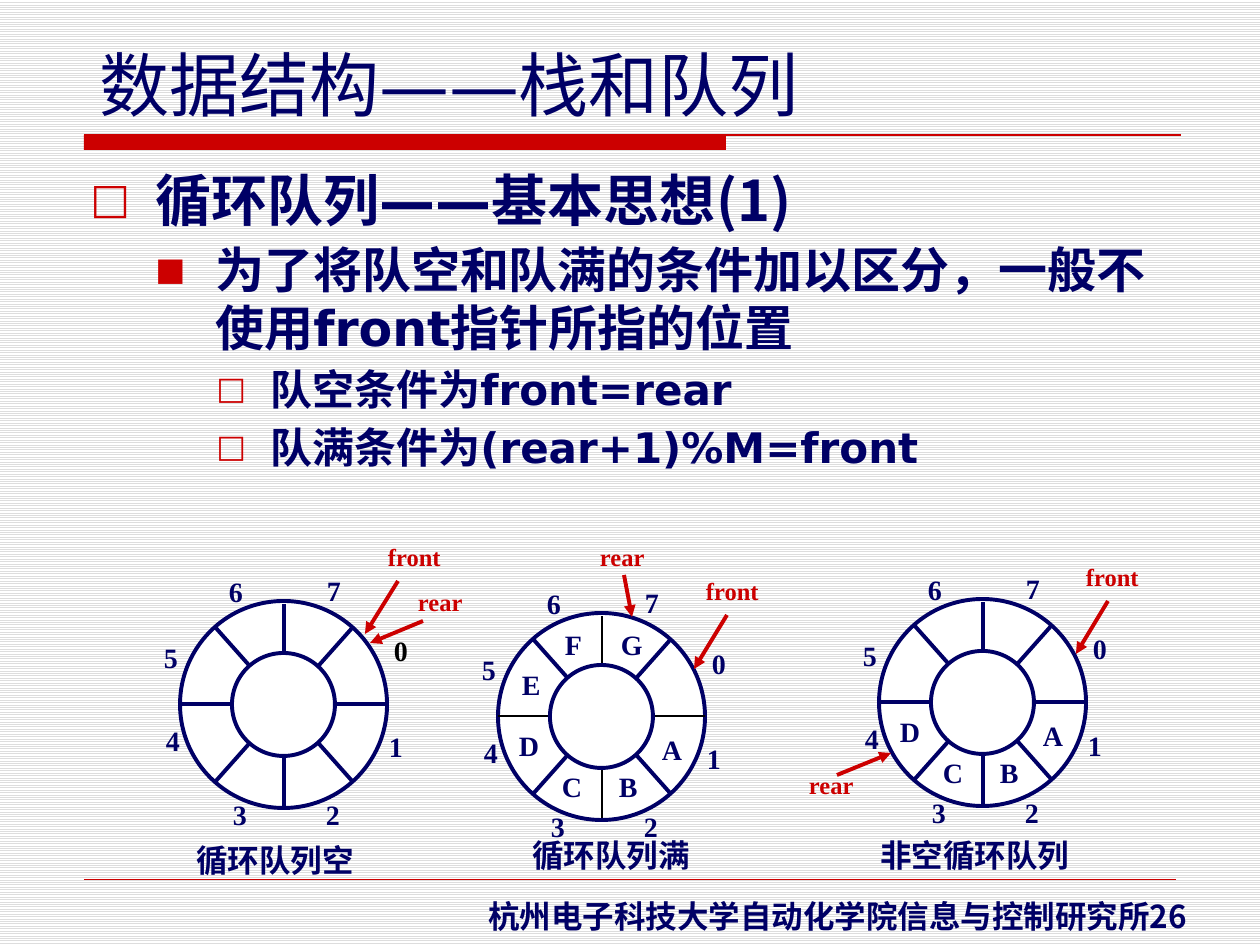
from dataclasses import dataclass

from lxml.etree import SubElement
from pptx import Presentation
from pptx.dml.color import RGBColor
from pptx.enum.dml import MSO_PATTERN
from pptx.enum.shapes import MSO_CONNECTOR, MSO_SHAPE
from pptx.oxml.ns import qn
from pptx.util import Emu, Pt


@dataclass(frozen=True)
class Theme:
    navy: str = "000066"
    red: str = "CC0000"
    black: str = "000000"
    white: str = "FFFFFF"
    stripe: str = "DDDDDD"
    sans: str = "DejaVu Sans"
    arial: str = "Arial"
    cjk: str = "Noto Sans CJK SC"
    serif: str = "Times New Roman"
    title: int = 40
    levels: tuple = (32, 28, 24)
    caption: int = 18
    label: int = 16
    pointer: int = 14


T = Theme()
RING = 207
HUB = 103
NUMBERS = [(214, 33), (209, 129), (146, 197), (53, 197),
           (-14, 123), (-16, 40), (49, -26), (147, -27)]
LETTERS = {"A": (164, 120), "B": (121, 157), "C": (64, 157), "D": (21, 116),
           "E": (24, 55), "F": (67, 14), "G": (123, 14)}
AXES = [(104, 3, 104, 205), (0, 103, RING, 103)]
DIAGONALS = [(35, 26, 173, 181), (173, 26, 35, 181)]
BULLETS = [("□", 65, -65, 75), ("■", 125, -60, 65), ("□", 180, -54, 75)]


def px(n):
    return Emu(round(n * 914400 / 126))


def rgb(value):
    return RGBColor.from_string(value)


def add_run(p, text, size, font=T.sans, color=T.navy, bold=True):
    r = p.add_run()
    r.text = text
    r.font.size = Pt(size)
    r.font.name = font
    r.font.bold = bold
    r.font.color.rgb = rgb(color)
    SubElement(r.font._element, qn("a:ea")).set("typeface", T.sans)


def add_text(s, x, y, w, h, runs, inset=True, wrap=False, **fmt):
    tf = s.shapes.add_textbox(px(x), px(y), px(w), px(h)).text_frame
    tf.word_wrap = wrap
    if not inset:
        tf.margin_left = tf.margin_right = tf.margin_top = tf.margin_bottom = 0
    for text, font in runs:
        add_run(tf.paragraphs[0], text, font=font, **fmt)
    return tf


def add_label(s, x, y, w, text, size=T.label, color=T.navy):
    add_text(s, x, y, w, 34 if size == T.label else 29, [(text, T.serif)],
             inset=False, size=size, color=color)


def add_line(s, x1, y1, x2, y2, color=T.navy, width=2.25, arrow=False):
    c = s.shapes.add_connector(MSO_CONNECTOR.STRAIGHT, px(x1), px(y1), px(x2), px(y2))
    c.line.color.rgb = rgb(color)
    c.line.width = Pt(width)
    if arrow:
        SubElement(c.line._get_or_add_ln(), qn("a:tailEnd")).set("type", "triangle")
    SubElement(c._element.spPr, qn("a:effectLst"))


def add_filled(s, kind, x, y, w, h, fill, line=None):
    sp = s.shapes.add_shape(kind, px(x), px(y), px(w), px(h))
    sp.shadow.inherit = False
    sp.fill.solid()
    sp.fill.fore_color.rgb = rgb(fill)
    if line:
        sp.line.color.rgb = rgb(line)
        sp.line.width = Pt(2.25)
    else:
        sp.line.fill.background()


def add_bullet(p, level):
    char, margin, indent, percent = BULLETS[level]
    pPr = p._p.get_or_add_pPr()
    pPr.set("marL", str(px(margin)))
    pPr.set("indent", str(px(indent)))
    color = SubElement(pPr, qn("a:buClr"))
    SubElement(color, qn("a:srgbClr")).set("val", T.red)
    SubElement(pPr, qn("a:buSzPct")).set("val", str(percent * 1000))
    SubElement(pPr, qn("a:buFont")).set("typeface", T.sans)
    SubElement(pPr, qn("a:buChar")).set("char", char)


def add_outline(s, items):
    tf = s.shapes.add_textbox(px(78), px(161), px(1103), px(330)).text_frame
    tf.word_wrap = True
    for i, (level, text) in enumerate(items):
        p = tf.add_paragraph() if i else tf.paragraphs[0]
        p.level = level
        p.line_spacing = Pt(round(T.levels[level] * 1.17, 1))
        if i:
            p.space_before = Pt(5)
        add_bullet(p, level)
        add_run(p, text, T.levels[level], font=T.sans if level else T.cjk)


def add_ring(s, x, y, letters="", axis=(T.navy, 2.25), zero=T.navy):
    add_filled(s, MSO_SHAPE.OVAL, x, y, RING, RING, T.white, T.navy)
    for spokes, (color, width) in ((AXES, axis), (DIAGONALS, (T.navy, 2.25))):
        for x1, y1, x2, y2 in spokes:
            add_line(s, x + x1, y + y1, x + x2, y + y2, color, width)
    edge = (RING - HUB) / 2
    add_filled(s, MSO_SHAPE.OVAL, x + edge, y + edge, HUB, HUB, T.white, T.navy)
    for i, (dx, dy) in enumerate(NUMBERS):
        add_label(s, x + dx, y + dy, 14, str(i), color=T.navy if i else zero)
    for letter in letters:
        dx, dy = LETTERS[letter]
        add_label(s, x + dx, y + dy, 24, letter)


def add_pointer(s, name, x, y, arrow):
    add_label(s, x, y, 53 if name == "front" else 45, name, T.pointer, T.red)
    add_line(s, *arrow, color=T.red, arrow=True)


def add_caption(s, x, y, w, text):
    add_text(s, x, y, w, 50, [(text, T.sans)], size=T.caption)


def main():
    prs = Presentation()
    prs.slide_width, prs.slide_height = px(1260), px(945)
    s = prs.slides.add_slide(prs.slide_layouts[6])
    fill = s.background.fill
    fill.patterned()
    fill.pattern = MSO_PATTERN.LIGHT_HORIZONTAL
    fill.fore_color.rgb = rgb(T.stripe)
    fill.back_color.rgb = rgb(T.white)

    add_filled(s, MSO_SHAPE.RECTANGLE, 84, 135, 642, 15, T.red)
    add_line(s, 84, 135, 1181, 135, T.red, 0.75)
    add_line(s, 84, 879, 1176, 879, T.red, 0.25)
    add_text(s, 87, 35, 725, 97,
             [("数据结构", T.sans), ("——", T.arial), ("栈和队列", T.sans)],
             size=T.title, bold=False)
    add_text(s, 476, 891, 770, 50,
             [("杭州电子科技大学自动化学院信息与控制研究所", T.serif), ("26", T.cjk)],
             size=T.caption)
    add_outline(s, [
        (0, "循环队列——基本思想(1)"),
        (1, "为了将队空和队满的条件加以区分，一般不使用front指针所指的位置"),
        (2, "队空条件为front=rear"),
        (2, "队满条件为(rear+1)%M=front"),
    ])

    add_ring(s, 180, 601, zero=T.black)
    add_pointer(s, "front", 388, 542, (398, 581, 365, 634))
    add_pointer(s, "rear", 418, 587, (423, 621, 370, 643))
    add_caption(s, 184, 835, 184, "循环队列空")

    add_ring(s, 498, 613, "ABCDEFG", axis=(T.black, 1.5))
    add_pointer(s, "front", 706, 576, (727, 615, 694, 669))
    add_pointer(s, "rear", 600, 542, (624, 575, 632, 617))
    add_caption(s, 520, 830, 184, "循环队列满")

    add_ring(s, 879, 599, "ABCD")
    add_pointer(s, "front", 1086, 562, (1108, 601, 1076, 654))
    add_pointer(s, "rear", 809, 770, (837, 775, 891, 753))
    add_caption(s, 868, 830, 215, "非空循环队列")
    prs.save("out.pptx")


if __name__ == "__main__":
    main()
